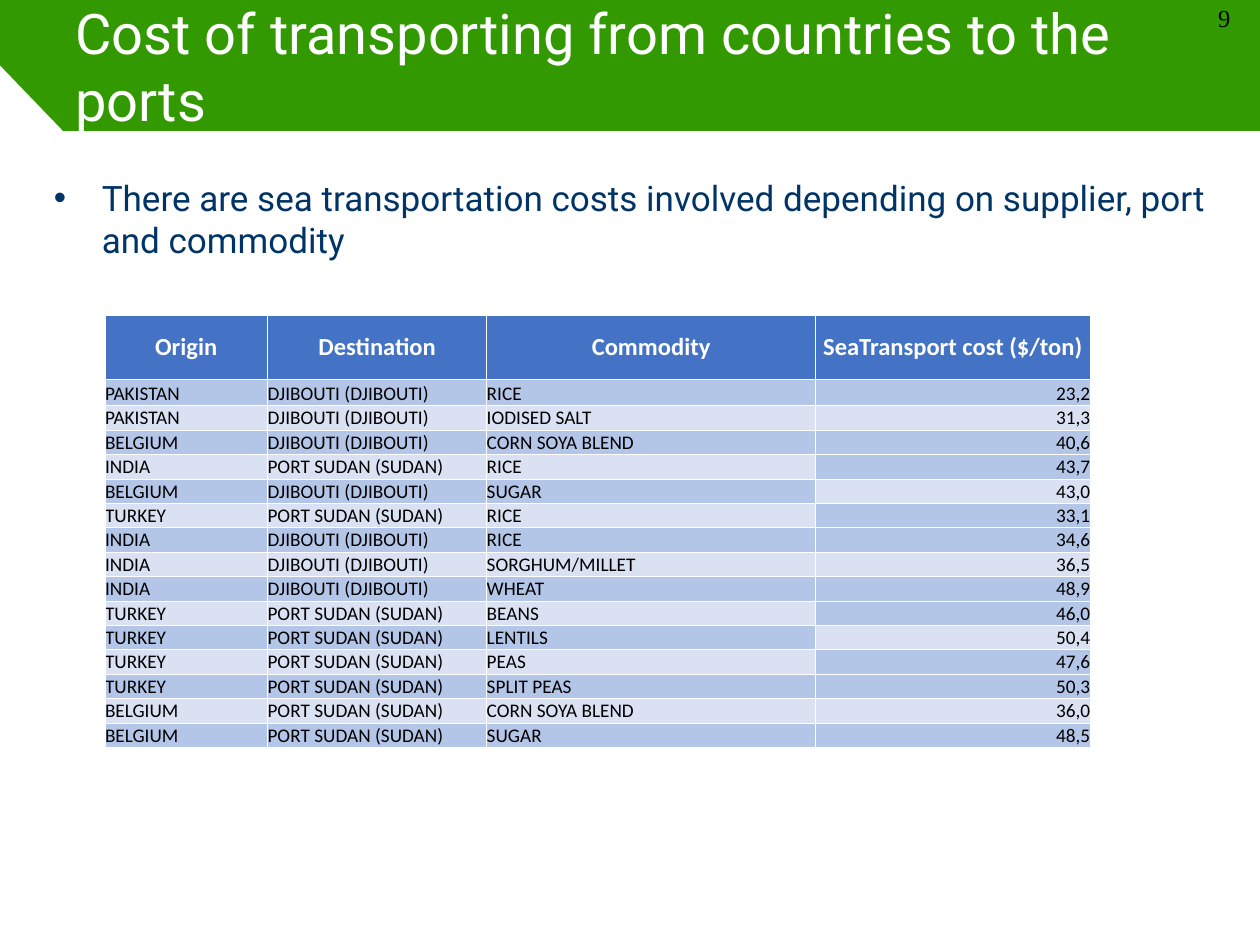
from dataclasses import dataclass

from lxml import etree
from pptx import Presentation, util as u
from pptx.dml.color import RGBColor
from pptx.enum import text
from pptx.oxml.ns import qn

WIDTH, HEIGHT = 10, 7.5
GREEN, WHITE, BLACK, NAVY = "339900", "FFFFFF", "000000", "003366"
HEADER, DARK, LIGHT = "4472C4", "B4C6E7", "D9E1F2"
BAND = 1.04  # height of the title band
COLUMNS = (1.29, 1.74, 2.61, 2.18)
HEADINGS = ("Origin", "Destination", "Commodity", "SeaTransport cost ($/ton)")
HEADER_ROW, FIRST_ROW, ROW = 0.51, 0.21, 0.194
DJIBOUTI, SUDAN = "DJIBOUTI (DJIBOUTI)", "PORT SUDAN (SUDAN)"


@dataclass(frozen=True)
class Route:
    origin: str
    port: str
    commodity: str
    cost: str
    cost_fill: str = DARK


@dataclass(frozen=True)
class Style:
    font: str
    size: float
    color: str
    bold: bool = False


ROUTES = (
    Route("PAKISTAN", DJIBOUTI, "RICE", "23,2"),
    Route("PAKISTAN", DJIBOUTI, "IODISED SALT", "31,3", LIGHT),
    Route("BELGIUM", DJIBOUTI, "CORN SOYA BLEND", "40,6"),
    Route("INDIA", SUDAN, "RICE", "43,7"),
    Route("BELGIUM", DJIBOUTI, "SUGAR", "43,0", LIGHT),
    Route("TURKEY", SUDAN, "RICE", "33,1"),
    Route("INDIA", DJIBOUTI, "RICE", "34,6"),
    Route("INDIA", DJIBOUTI, "SORGHUM/MILLET", "36,5", LIGHT),
    Route("INDIA", DJIBOUTI, "WHEAT", "48,9"),
    Route("TURKEY", SUDAN, "BEANS", "46,0"),
    Route("TURKEY", SUDAN, "LENTILS", "50,4", LIGHT),
    Route("TURKEY", SUDAN, "PEAS", "47,6"),
    Route("TURKEY", SUDAN, "SPLIT PEAS", "50,3"),
    Route("BELGIUM", SUDAN, "CORN SOYA BLEND", "36,0", LIGHT),
    Route("BELGIUM", SUDAN, "SUGAR", "48,5"),
)
HEADING_STYLE = Style("Calibri", 14, WHITE, True)
CELL_STYLE = Style("Calibri", 11, BLACK)


def paint(fill, color: str) -> None:
    fill.solid()
    fill.fore_color.rgb = RGBColor.from_string(color)


def assign(target, values: dict) -> None:
    for name, value in values.items():
        setattr(target, name, value)


def write(para, words: str, style: Style) -> None:
    span = para.add_run()
    span.text = words
    assign(span.font, {"name": style.font, "size": u.Pt(style.size), "bold": style.bold})
    span.font.color.rgb = RGBColor.from_string(style.color)


def add_text(page, area: tuple, words: str, style: Style, frame_values: dict):
    """Add a one-paragraph text box and return its paragraph."""
    box = page.shapes.add_textbox(*map(u.Inches, area))
    assign(box.text_frame, {"word_wrap": True, **frame_values})
    para = box.text_frame.paragraphs[0]
    write(para, words, style)
    return para


def add_bullet(para, indent: float) -> None:
    props = para._p.get_or_add_pPr()
    props.set("marL", str(u.Inches(indent)))
    props.set("indent", str(-u.Inches(indent)))
    etree.SubElement(props, qn("a:buFont")).set("typeface", "Arial")
    etree.SubElement(props, qn("a:buChar")).set("char", "•")


def add_borders(cell, color: str, points: float) -> None:
    props = cell._tc.get_or_add_tcPr()
    for place, side in enumerate(("lnL", "lnR", "lnT", "lnB")):
        line = etree.Element(qn(f"a:{side}"), w=str(u.Pt(points)))
        solid = etree.SubElement(line, qn("a:solidFill"))
        etree.SubElement(solid, qn("a:srgbClr")).set("val", color)
        props.insert(place, line)


def fill_cell(cell, words: str, style: Style, color: str, anchor, align) -> None:
    margins = dict.fromkeys(("margin_left", "margin_top", "margin_right", "margin_bottom"), 0)
    assign(cell, {**margins, "vertical_anchor": anchor})
    paint(cell.fill, color)
    add_borders(cell, WHITE, 0.5)
    para = cell.text_frame.paragraphs[0]
    para.alignment = align
    write(para, words, style)


def add_cost_table(page, left: float, top: float) -> None:
    heights = (HEADER_ROW, FIRST_ROW, *[ROW] * (len(ROUTES) - 1))
    area = (left, top, sum(COLUMNS), sum(heights))
    table = page.shapes.add_table(len(heights), len(COLUMNS), *map(u.Inches, area)).table
    assign(table, {"first_row": False, "horz_banding": False})
    for column, width in zip(table.columns, COLUMNS):
        column.width = u.Inches(width)
    for row, height in zip(table.rows, heights):
        row.height = u.Inches(height)

    anchor, align = text.MSO_ANCHOR, text.PP_ALIGN
    for column, heading in enumerate(HEADINGS):
        fill_cell(table.cell(0, column), heading, HEADING_STYLE, HEADER,
                  anchor.MIDDLE, align.CENTER)
    for row, route in enumerate(ROUTES, start=1):
        band = DARK if row % 2 else LIGHT
        for column, words in enumerate((route.origin, route.port, route.commodity)):
            fill_cell(table.cell(row, column), words, CELL_STYLE, band,
                      anchor.BOTTOM, align.LEFT)
        fill_cell(table.cell(row, 3), route.cost, CELL_STYLE, route.cost_fill,
                  anchor.BOTTOM, align.RIGHT)


def add_body_panel(page) -> None:
    """White area below the green band, with its cut top-left corner."""
    corners = ((0, BAND / 2), (0, HEIGHT), (WIDTH, HEIGHT), (WIDTH, BAND))
    builder = page.shapes.build_freeform(u.Inches(0.5), u.Inches(BAND))
    builder.add_line_segments([(u.Inches(x), u.Inches(y)) for x, y in corners], close=True)
    panel = builder.convert_to_shape()
    panel.shadow.inherit = False
    paint(panel.fill, WHITE)
    panel.line.fill.background()


def main() -> None:
    deck = Presentation()
    assign(deck, {"slide_width": u.Inches(WIDTH), "slide_height": u.Inches(HEIGHT)})
    page = deck.slides.add_slide(deck.slide_layouts[6])
    paint(page.background.fill, GREEN)

    # Page number, body panel and title
    number = add_text(page, (9.57, 0, 0.43, 0.31), "9", Style("Times New Roman", 14, BLACK),
                      {"word_wrap": False, "auto_size": text.MSO_AUTO_SIZE.SHAPE_TO_FIT_TEXT})
    number.line_spacing = 0.9
    add_body_panel(page)
    add_text(page, (0.5, 0, 9, BAND), "Cost of transporting from countries to the ports",
             Style("Roboto", 32, WHITE), {"vertical_anchor": text.MSO_ANCHOR.MIDDLE})

    # Bullet and table
    bullet = add_text(
        page, (0.33, 1.35, 9.67, 5.12),
        "There are sea transportation costs involved depending on supplier, port and commodity",
        Style("Roboto", 20, NAVY), {})
    add_bullet(bullet, 0.38)
    add_cost_table(page, WIDTH / 12, HEIGHT / 3)

    deck.save("out.pptx")


if __name__ == "__main__":
    main()
